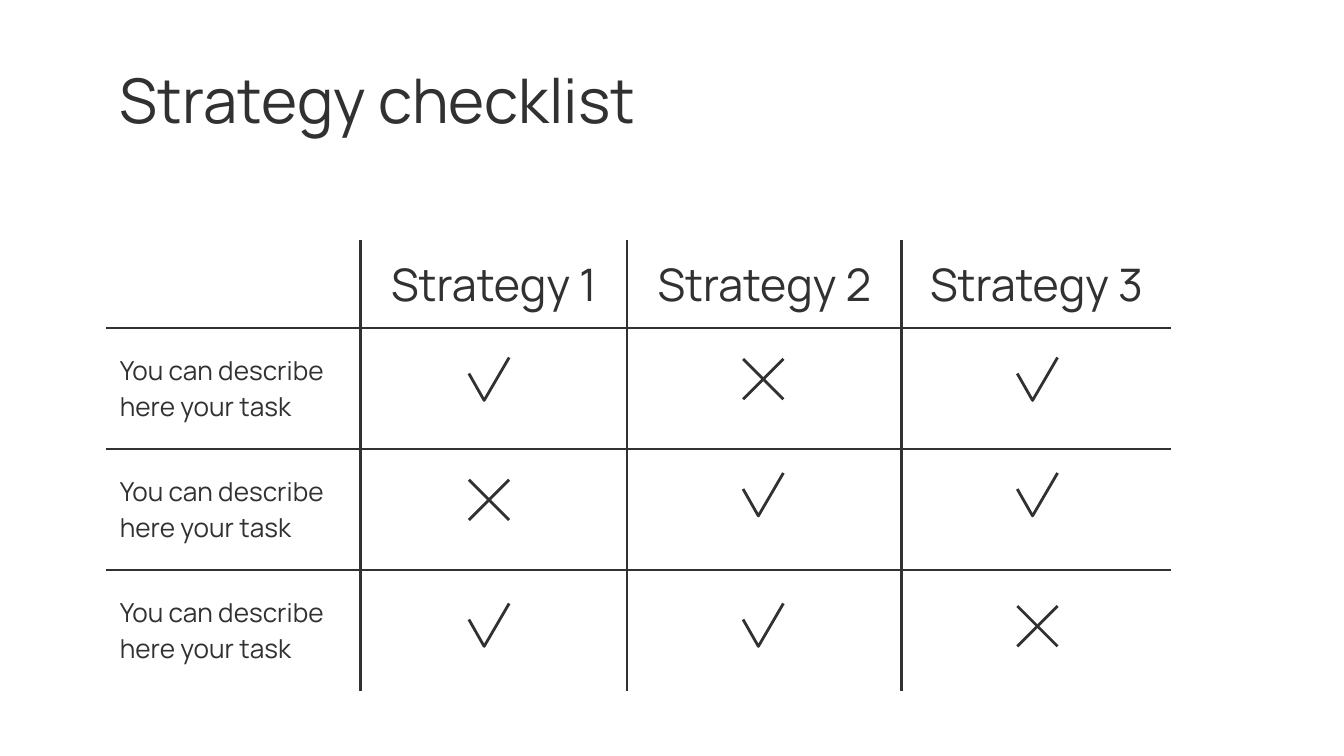
from dataclasses import dataclass

from lxml import etree
from pptx import Presentation
from pptx.dml.color import RGBColor
from pptx.enum import shapes, text
from pptx.oxml.ns import qn
from pptx.util import Pt


@dataclass
class Theme:
    ink: str = "313131"
    paper: str = "FFFFFF"
    font: str = "Manrope"
    title_size: float = 33
    header_size: float = 24
    task_size: float = 14
    line_width: float = 1.5
    inset: float = 7.2


class ChecklistPage:
    def __init__(self, deck, theme):
        self.theme = theme
        self.page = deck.slides.add_slide(deck.slide_layouts[5])
        fill = self.page.background.fill
        fill.solid()
        fill.fore_color.rgb = RGBColor.from_string(theme.paper)

    def style_text(self, frame, size, align):
        for para in frame.paragraphs:
            para.alignment = align
            for span in para.runs:
                span.font.size = Pt(size)
                span.font.name = self.theme.font
                span.font.color.rgb = RGBColor.from_string(self.theme.ink)

    def style_line(self, line):
        line.color.rgb = RGBColor.from_string(self.theme.ink)
        line.width = Pt(self.theme.line_width)

    def title(self, wording, left, top, width, height):
        box = self.page.shapes.title
        box.left, box.top, box.width, box.height = map(Pt, (left, top, width, height))
        frame = box.text_frame
        frame.text = wording
        frame.word_wrap = True
        frame.auto_size = text.MSO_AUTO_SIZE.NONE
        frame.vertical_anchor = text.MSO_ANCHOR.MIDDLE
        frame.margin_left = frame.margin_right = Pt(self.theme.inset)
        frame.margin_top = frame.margin_bottom = Pt(self.theme.inset)
        self.style_text(frame, self.theme.title_size, text.PP_ALIGN.LEFT)

    def borders(self, cell, visible):
        """Draw the listed sides (L, R, T, B) and hide the others."""
        properties = cell._tc.get_or_add_tcPr()
        for side in "LRTB":
            edge = etree.SubElement(properties, qn(f"a:ln{side}"))
            if side in visible:
                edge.set("w", str(Pt(self.theme.line_width)))
                paint = etree.SubElement(edge, qn("a:solidFill"))
                etree.SubElement(paint, qn("a:srgbClr"), val=self.theme.ink)
            else:
                etree.SubElement(edge, qn("a:noFill"))

    def table(self, rows, left, top, widths, heights):
        last_row, last_column = len(heights) - 1, len(widths) - 1
        table = self.page.shapes.add_table(
            len(heights), len(widths), Pt(left), Pt(top),
            Pt(sum(widths)), Pt(sum(heights))).table
        table.first_row = table.horz_banding = False
        for column, width in zip(table.columns, widths):
            column.width = Pt(width)
        for row, height in zip(table.rows, heights):
            row.height = Pt(height)
        for r, wordings in enumerate(rows):
            for c, wording in enumerate(wordings):
                cell = table.cell(r, c)
                cell.vertical_anchor = text.MSO_ANCHOR.MIDDLE
                cell.margin_left = cell.margin_right = Pt(self.theme.inset)
                cell.margin_top = cell.margin_bottom = Pt(self.theme.inset)
                # Only the inner grid shows
                inner = {"L": c > 0, "R": c < last_column,
                         "T": r > 0, "B": r < last_row}
                self.borders(cell, [side for side, shown in inner.items() if shown])
                cell.fill.background()
                if wording:
                    cell.text_frame.text = wording
                    if r == 0:
                        self.style_text(cell.text_frame, self.theme.header_size,
                                        text.PP_ALIGN.CENTER)
                    else:
                        self.style_text(cell.text_frame, self.theme.task_size,
                                        text.PP_ALIGN.LEFT)

    def check(self, left, top):
        tick = self.page.shapes.build_freeform(Pt(left), Pt(top + 8.6))
        tick.add_line_segments([(Pt(left + 8.2), Pt(top + 23)),
                                (Pt(left + 21.6), Pt(top))], close=False)
        shape = tick.convert_to_shape()
        shape.shadow.inherit = False
        shape.fill.background()
        self.style_line(shape.line)

    def cross(self, left, top, size=21.6):
        group = self.page.shapes.add_group_shape()
        for start, end in ((left, left + size), (left + size, left)):
            stroke = group.shapes.add_connector(
                shapes.MSO_CONNECTOR.STRAIGHT,
                Pt(start), Pt(top), Pt(end), Pt(top + size))
            self.style_line(stroke.line)
            etree.SubElement(stroke._element.spPr, qn("a:effectLst"))


def main():
    deck = Presentation()
    deck.slide_width, deck.slide_height = Pt(720), Pt(405)
    page = ChecklistPage(deck, Theme())

    page.title("Strategy checklist", 57, 30.2, 500, 45.4)

    # Grid with strategies across and tasks down
    header = [""] + [f"Strategy {number}" for number in (1, 2, 3)]
    task = ["You can describe here your task", "", "", ""]
    page.table([header] + [task] * 3, 57, 128.6,
               widths=[136.2, 142.8, 147, 144.6], heights=[41.8] + [64.8] * 3)

    # Marks: v is a check, x is a cross
    first_left, step = 251.2, 146.9
    mark_rows = [  # marks, top of checks, top of crosses
        ("vxv", 191.5, 192.3),
        ("xvv", 253.4, 257),
        ("vvx", 323.3, 324.7),
    ]
    for marks, check_top, cross_top in mark_rows:
        for column, mark in enumerate(marks):
            left = first_left + column * step
            if mark == "v":
                page.check(left, check_top)
            else:
                page.cross(left, cross_top)

    deck.save("out.pptx")


if __name__ == "__main__":
    main()
